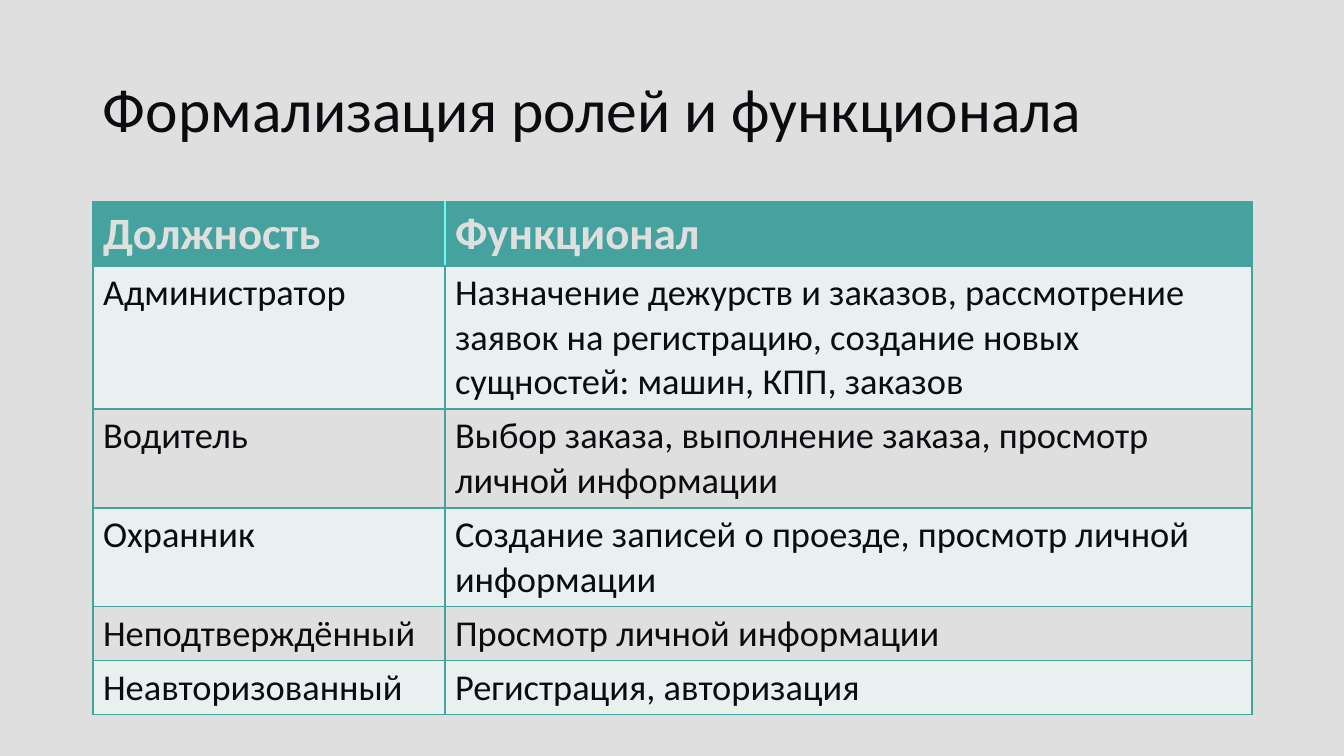
"""Builds a slide with a table of staff roles and their functions."""
from lxml.etree import SubElement
from pptx import Presentation
from pptx.dml.color import RGBColor
from pptx.enum.text import MSO_ANCHOR
from pptx.oxml.ns import qn
from pptx.util import Pt

TITLE = "Формализация ролей и функционала"
ROLES = [
    ("Должность", "Функционал"),
    ("Администратор", "Назначение дежурств и заказов, рассмотрение заявок на "
                      "регистрацию, создание новых сущностей: машин, КПП, заказов"),
    ("Водитель", "Выбор заказа, выполнение заказа, просмотр личной информации"),
    ("Охранник", "Создание записей о проезде, просмотр личной информации"),
    ("Неподтверждённый", "Просмотр личной информации"),
    ("Неавторизованный", "Регистрация, авторизация"),
]
COLUMN_WIDTHS = [352, 807]
ROW_HEIGHTS = [64, 143, 99, 99, 54, 54]

GREY = RGBColor(0xDF, 0xDF, 0xDF)
INK = RGBColor(0x0B, 0x0C, 0x10)
TEAL = RGBColor(0x45, 0xA2, 0x9E)
AQUA = RGBColor(0x66, 0xFC, 0xF1)
PALE = RGBColor(0xE9, 0xF0, 0xF0)
FONT = "Calibri"
LEFT, TITLE_TOP, TITLE_HEIGHT, ROLES_TOP = 93, 40, 146, 202


def px(length):
    return round(length * 914400 / 100.8)


def style(paragraph, size, color, bold=False):
    font = paragraph.font
    font.name, font.size, font.bold = FONT, Pt(size), bold
    font.color.rgb = color


def add_border(cell, side, color):
    line = SubElement(cell._tc.get_or_add_tcPr(), qn(f"a:ln{side}"), w=str(Pt(1)))
    fill = SubElement(line, qn("a:solidFill"))
    SubElement(fill, qn("a:srgbClr"), val=str(color))


def add_title(slide):
    box = slide.shapes.add_textbox(
        px(LEFT), px(TITLE_TOP), px(sum(COLUMN_WIDTHS)), px(TITLE_HEIGHT))
    frame = box.text_frame
    frame.word_wrap = True
    frame.vertical_anchor = MSO_ANCHOR.MIDDLE
    frame.text = TITLE
    heading = frame.paragraphs[0]
    heading.line_spacing = 0.9
    style(heading, 44, INK)


def add_roles(slide):
    roles = slide.shapes.add_table(
        len(ROLES), len(COLUMN_WIDTHS), px(LEFT), px(ROLES_TOP),
        px(sum(COLUMN_WIDTHS)), px(sum(ROW_HEIGHTS))).table
    for column, width in zip(roles.columns, COLUMN_WIDTHS):
        column.width = px(width)
    for r, (row, height, words) in enumerate(zip(roles.rows, ROW_HEIGHTS, ROLES)):
        row.height = px(height)
        header = r == 0
        for c, (cell, text) in enumerate(zip(row.cells, words)):
            inner_side = "R" if c == 0 else "L"
            for side in "LRTB":
                add_border(cell, side, AQUA if header and side == inner_side else TEAL)
            cell.fill.solid()
            cell.fill.fore_color.rgb = TEAL if header else PALE if r % 2 else GREY
            cell.text = text
            style(cell.text_frame.paragraphs[0], 32 if header else 26,
                  GREY if header else INK, header)


def main():
    deck = Presentation()
    deck.slide_width, deck.slide_height = px(1344), px(756)
    slide = deck.slides.add_slide(deck.slide_layouts[6])
    slide.background.fill.solid()
    slide.background.fill.fore_color.rgb = GREY
    add_title(slide)
    add_roles(slide)
    deck.save("out.pptx")


if __name__ == "__main__":
    main()
